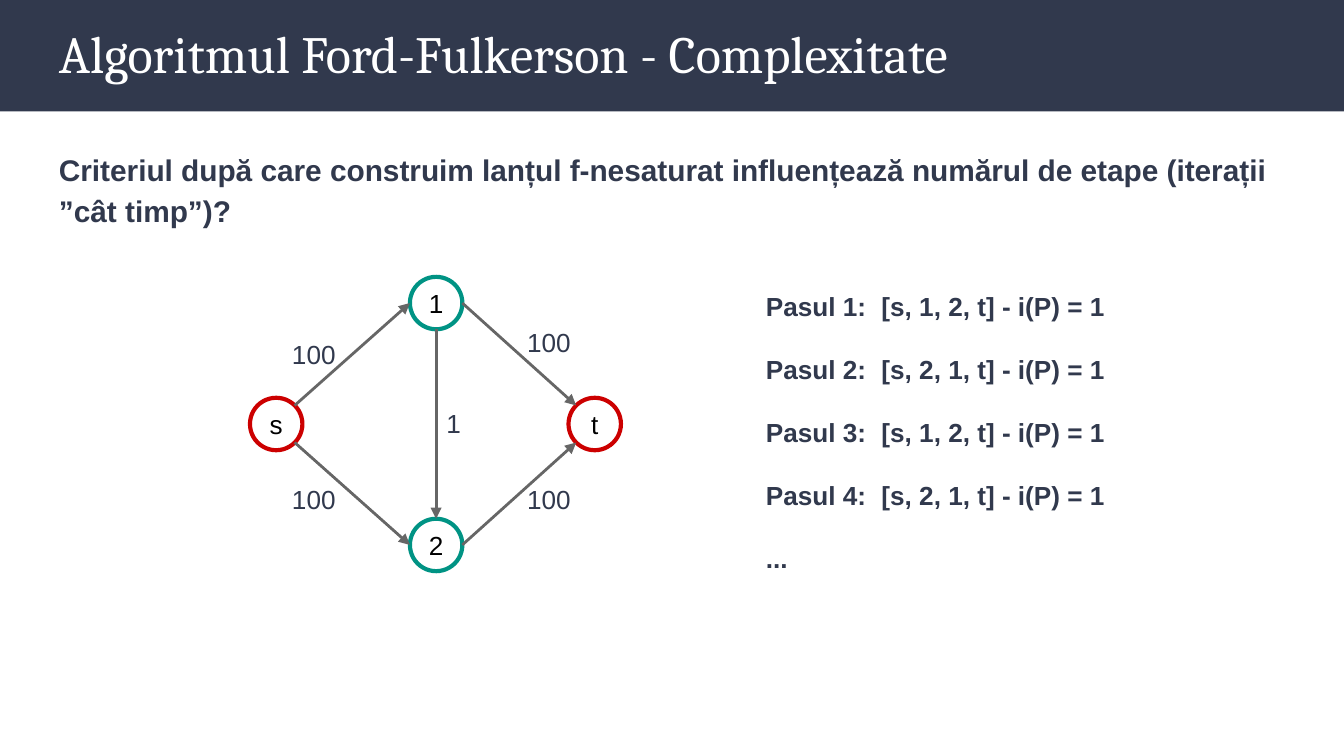
"""Build the slide on the complexity of the Ford-Fulkerson algorithm."""
from math import cos, radians, sin

from lxml.etree import SubElement
from pptx import Presentation
from pptx.dml.color import RGBColor
from pptx.enum.shapes import MSO_CONNECTOR as Connector, MSO_SHAPE as Shape
from pptx.enum.text import MSO_ANCHOR as Anchor, PP_ALIGN as Align
from pptx.oxml.ns import qn
from pptx.util import Inches, Pt

THEME = {
    "navy": RGBColor(0x31, 0x39, 0x4D),
    "white": RGBColor(0xFF, 0xFF, 0xFF),
    "black": RGBColor(0, 0, 0),
    "red": RGBColor(0xCC, 0, 0),
    "teal": RGBColor(0, 0x93, 0x84),
    "grey": RGBColor(0x66, 0x66, 0x66),
    "title": Pt(28),
    "question": Pt(16),
    "small": Pt(14),
    "heading_font": "Cambria",
    "body_font": "Arial",
}

TITLE = "Algoritmul Ford-Fulkerson - Complexitate"
QUESTION = ("Criteriul după care construim lanțul f-nesaturat influențează "
            "numărul de etape (iterații ”cât timp”)?")
PATHS = ["[s, 1, 2, t]", "[s, 2, 1, t]"] * 2
STEPS = [f"Pasul {number}:\t{path} - i(P) = 1"
         for number, path in enumerate(PATHS, 1)] + ["..."]

DIAMETER = 0.39
NODES = {
    "s": (1.86, 2.96, "red"),
    "2": (3.05, 3.86, "teal"),
    "1": (3.05, 2.06, "teal"),
    "t": (4.23, 2.96, "red"),
}
ANGLES = {"right": 0, "lower right": 45, "bottom": 90, "lower left": 135,
          "left": 180, "upper left": 225, "top": 270, "upper right": 315}
EDGES = [
    ("s", "upper right", "1", "left", "100", (2.01, 2.42)),
    ("1", "right", "t", "upper left", "100", (3.76, 2.33)),
    ("s", "lower right", "2", "left", "100", (2.01, 3.5)),
    ("2", "right", "t", "lower left", "100", (3.76, 3.5)),
    ("1", "bottom", "2", "top", "1", (3.05, 2.93)),
]


def write(frame, lines, margin=0.1, font=None, paragraph=None, tab=None):
    frame.word_wrap = True
    for side in ("left", "top", "right", "bottom"):
        setattr(frame, f"margin_{side}", Inches(margin))
    font = {"name": THEME["body_font"], "size": THEME["small"], **(font or {})}
    color = font.pop("color", THEME["navy"])
    for index, line in enumerate(lines):
        part = frame.add_paragraph() if index else frame.paragraphs[0]
        if tab:
            stops = SubElement(part._p.get_or_add_pPr(), qn("a:tabLst"))
            SubElement(stops, qn("a:tab"), pos=str(Inches(tab)), algn="l")
        for key, value in (paragraph or {}).items():
            setattr(part, key, value)
        run = part.add_run()
        run.text = line
        for key, value in font.items():
            setattr(run.font, key, value)
        run.font.color.rgb = color


def add_text(slide, box, lines, **formats):
    frame = slide.shapes.add_textbox(*map(Inches, box)).text_frame
    write(frame, lines, **formats)


def add_banner(slide, width):
    banner = slide.shapes.add_shape(Shape.RECTANGLE, 0, 0, width, Inches(0.83))
    banner.shadow.inherit = False
    banner.fill.solid()
    banner.fill.fore_color.rgb = THEME["navy"]
    banner.line.fill.background()


def add_node(slide, name):
    left, top, color = NODES[name]
    node = slide.shapes.add_shape(
        Shape.OVAL, *map(Inches, (left, top, DIAMETER, DIAMETER)))
    node.shadow.inherit = False
    node.fill.background()
    node.line.color.rgb = THEME[color]
    node.line.width = Pt(2.25)
    node.text_frame.vertical_anchor = Anchor.MIDDLE
    write(node.text_frame, [name], margin=0.02,
          font={"color": THEME["black"]}, paragraph={"alignment": Align.CENTER})


def rim_point(name, side):
    left, top, _ = NODES[name]
    angle, radius = radians(ANGLES[side]), DIAMETER / 2
    return (Inches(left + radius * (1 + cos(angle))),
            Inches(top + radius * (1 + sin(angle))))


def add_edge(slide, start, start_side, end, end_side):
    edge = slide.shapes.add_connector(
        Connector.STRAIGHT, *rim_point(start, start_side), *rim_point(end, end_side))
    edge.line.color.rgb = THEME["grey"]
    edge.line.width = Pt(1.5)
    SubElement(edge.line._get_or_add_ln(), qn("a:tailEnd"), type="triangle")
    SubElement(edge._element.spPr, qn("a:effectLst"))


def main():
    deck = Presentation()
    deck.slide_width = Inches(10)
    deck.slide_height = deck.slide_width * 9 // 16
    slide = deck.slides.add_slide(deck.slide_layouts[6])

    add_banner(slide, deck.slide_width)
    add_text(slide, (0.34, 0.06, 9.32, 0.68), [TITLE],
             font={"name": THEME["heading_font"], "size": THEME["title"],
                   "color": THEME["white"]})
    add_text(slide, (0.34, 0.99, 9.32, 4.11), [QUESTION],
             font={"size": THEME["question"], "bold": True},
             paragraph={"line_spacing": 1.15})

    for name in NODES:
        add_node(slide, name)
    for *ends, _, _ in EDGES:
        add_edge(slide, *ends)
    for *_, capacity, corner in EDGES:
        add_text(slide, (*corner, 0.65, 0.44), [capacity],
                 paragraph={"alignment": Align.CENTER})

    add_text(slide, (5.6, 2.06, 3.52, 2.32), STEPS, font={"bold": True},
             paragraph={"space_after": Pt(16.9)}, tab=0.86)
    deck.save("out.pptx")


if __name__ == "__main__":
    main()
